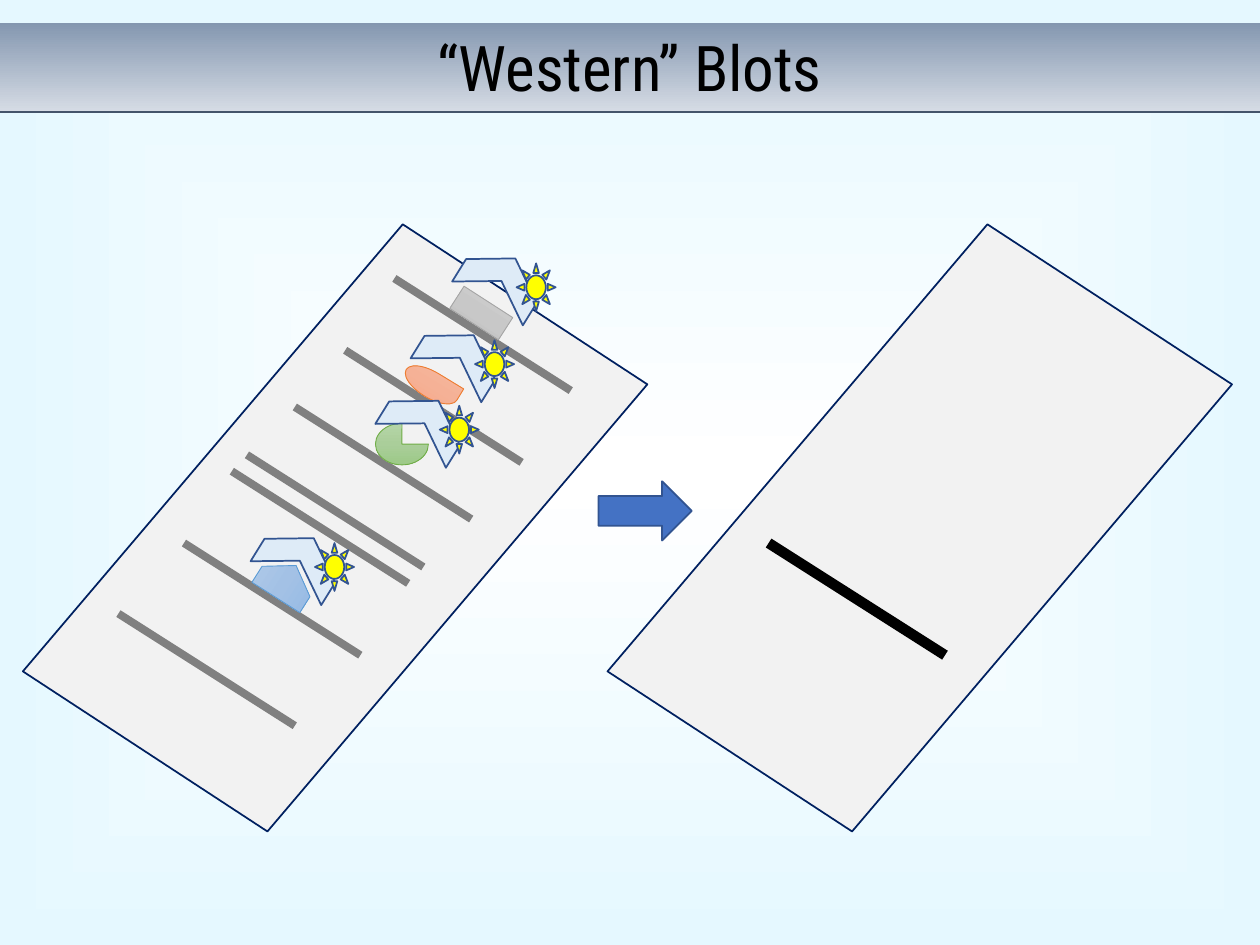
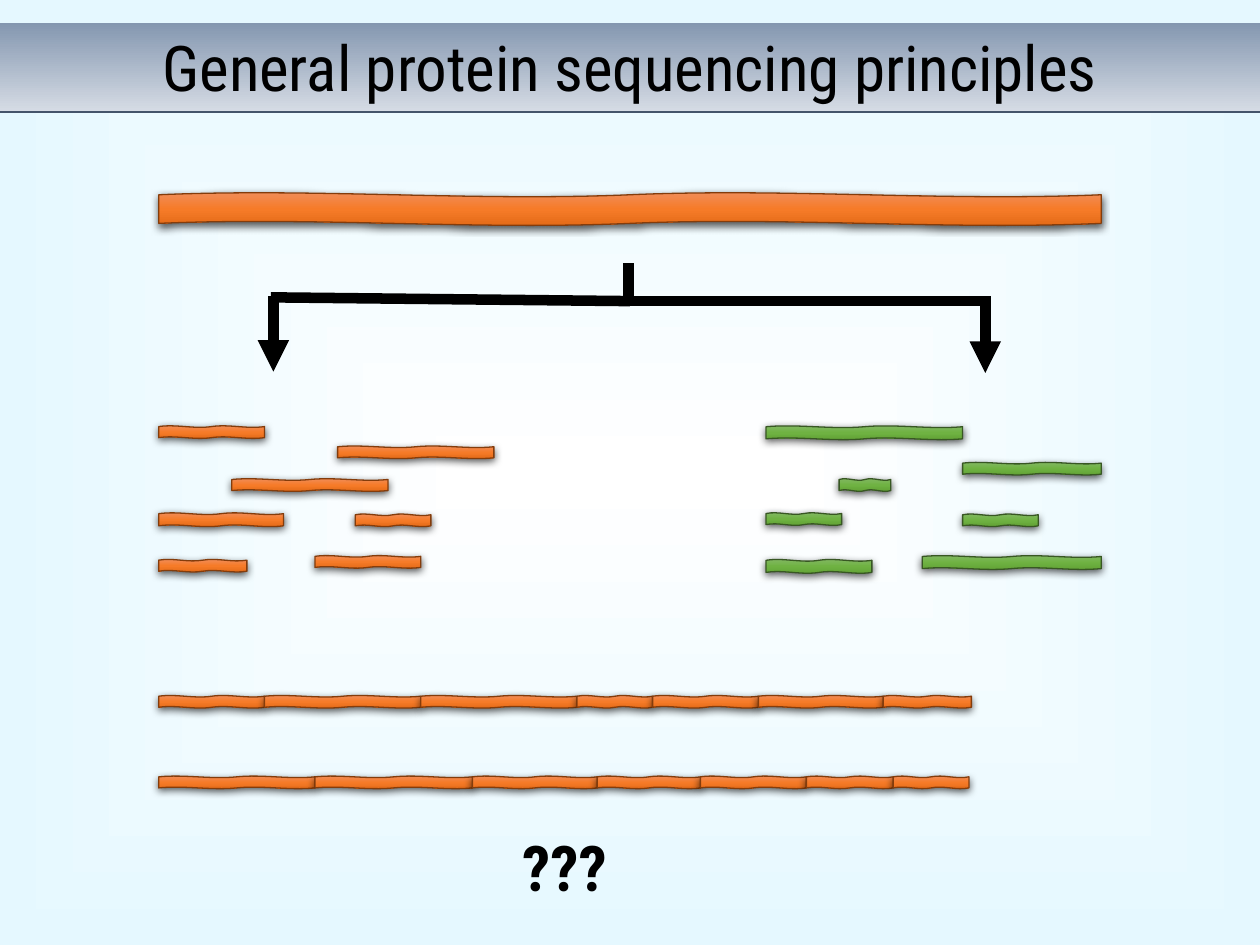
from dataclasses import dataclass
from typing import NamedTuple

from lxml import etree
from pptx import Presentation
from pptx.dml.color import RGBColor
from pptx.enum.shapes import MSO_CONNECTOR, MSO_SHAPE
from pptx.enum.text import MSO_ANCHOR, MSO_AUTO_SIZE, PP_ALIGN
from pptx.oxml.ns import qn
from pptx.util import Emu, Pt

PX = 9144  # EMU in one px, 100 px to the inch
WIDE, HIGH = 1000, 750
TITLE_ONLY = 5

RECT = MSO_SHAPE.RECTANGLE
SHEET = MSO_SHAPE.FLOWCHART_DATA
PLATE = MSO_SHAPE.PENTAGON
PIE = MSO_SHAPE.PIE
TEAR = MSO_SHAPE.TEAR
CHEVRON = MSO_SHAPE.CHEVRON
SUN = MSO_SHAPE.SUN
ARROW = MSO_SHAPE.RIGHT_ARROW
WAVE = MSO_SHAPE.DOUBLE_WAVE
STRAIGHT = MSO_CONNECTOR.STRAIGHT
CENTER = PP_ALIGN.CENTER
TOP = MSO_ANCHOR.TOP
FIXED = MSO_AUTO_SIZE.NONE


class Look(NamedTuple):
    """Fill colours (one is solid, more are a gradient) and outline."""
    fill: tuple[str, ...]
    line: str
    width: float
    angle: int = 90
    shade: bool = False


@dataclass(frozen=True)
class Theme:
    font: str = "Roboto Condensed"
    size: int = 36
    ink: str = "000000"
    back: tuple[str, ...] = ("FFFFFF", "E5F8FF")
    band: tuple[str, ...] = ("D6DCE5", "8497B0")
    rule: str = "44546A"
    stripe: str = "808080"
    sheet: Look = Look(("F2F2F2",), "002060", 1)
    tag: Look = Look(("DEEBF7",), "325491", 1)
    sun: Look = Look(("FFFF00",), "325491", 1)
    arrow: Look = Look(("4472C4",), "325491", 1)
    gray: Look = Look(("D2D2D2", "C8C8C8", "C0C0C0"), "A5A5A5", 0.5)
    blue: Look = Look(("B1CBE9", "A3C1E5", "93B9E4"), "5B9BD5", 0.5)
    lime: Look = Look(("B5D5A7", "AACE9A", "9CC987"), "70AD47", 0.5)
    peach: Look = Look(("F7BDA5", "F5B196", "F8A582"), "ED7D31", 0.5)
    orange: Look = Look(("F18C57", "F67B28", "E56C19"), "843C0B", 0.75, shade=True)
    green: Look = Look(("81B861", "6FB242", "62A336"), "385723", 0.75, shade=True)


THEME = Theme()


class Box(NamedTuple):
    x: int
    y: int
    w: int
    h: int
    turn: float = 0

    def emu(self) -> list[Emu]:
        return [Emu(v * PX) for v in self[:4]]


class Bar(NamedTuple):
    x: int
    y: int
    w: int
    h: int = 10


class Point(NamedTuple):
    x: int
    y: int


# Slide 1: gel, bands, proteins and antibody tags
GEL = Box(121, 188, 290, 462, 33.2)
BLOT = GEL._replace(x=585)
SPAN = Point(140, 89)
BANDS = [Point(313, 221), Point(274, 278), Point(234, 323), Point(196, 361),
         Point(184, 374), Point(146, 431), Point(94, 487)]
HIT = Point(610, 431)
PROTEINS = [
    (RECT, Box(359, 238, 46, 21, 32.8), THEME.gray),
    (PLATE, Box(212, 439, 30, 45, 302.4), THEME.blue),
    (PIE, Box(298, 336, 42, 33), THEME.lime),
    (TEAR, Box(319, 295, 47, 21, 31.2), THEME.peach),
]
TAGS = [Point(217, 412), Point(377, 190), Point(344, 251), Point(316, 303)]

# Slide 2: whole chain, two digests and two possible orders
CHAIN = Bar(126, 153, 748, 26)
LEFT = [Bar(126, 338, 84), Bar(184, 380, 124), Bar(282, 408, 60), Bar(268, 354, 124),
        Bar(126, 444, 70), Bar(250, 441, 84), Bar(126, 407, 99, 11)]
RIGHT = [Bar(608, 338, 156, 11), Bar(666, 380, 41), Bar(764, 408, 60), Bar(764, 367, 110),
         Bar(608, 444, 84, 11), Bar(732, 441, 142, 11), Bar(608, 407, 60)]
ORDERS = {552: (84, 124, 124, 60, 84, 99, 70), 616: (124, 125, 99, 82, 84, 69, 60)}
FORK = [  # start, end, has an arrowhead
    (Point(215, 236), Point(500, 239), False),
    (Point(217, 235), Point(217, 295), True),
    (Point(499, 209), Point(499, 239), False),
    (Point(782, 235), Point(782, 296), True),
    (Point(500, 239), Point(784, 239), False),
]


def add(parent, tag: str, **attrs: object):
    """Append a DrawingML child element."""
    return etree.SubElement(parent, qn(f"a:{tag}"), {k: str(v) for k, v in attrs.items()})


def blend(fill, root, tones: tuple[str, ...], angle: int | None) -> None:
    """Evenly spaced gradient; without an angle it spreads from the centre."""
    fill.gradient()
    grad = root.find(f".//{qn('a:gradFill')}")
    for child in list(grad):
        grad.remove(child)
    stops = add(grad, "gsLst")
    for i, tone in enumerate(tones):
        stop = add(stops, "gs", pos=100000 * i // (len(tones) - 1))
        add(stop, "srgbClr", val=tone)
    if angle is None:
        path = add(grad, "path", path="shape")
        add(path, "fillToRect", l=50000, t=50000, r=50000, b=50000)
    else:
        add(grad, "lin", ang=angle * 60000, scaled=0)


def draw(slide, kind, box: Box, look: Look):
    shape = slide.shapes.add_shape(kind, *box.emu())
    shape.rotation = box.turn
    if len(look.fill) == 1:
        shape.fill.solid()
        shape.fill.fore_color.rgb = RGBColor.from_string(look.fill[0])
    else:
        blend(shape.fill, shape._element, look.fill, look.angle)
    shape.line.color.rgb = RGBColor.from_string(look.line)
    shape.line.width = Pt(look.width)
    shape.shadow.inherit = False
    if look.shade:
        effects = shape._element.spPr.find(qn("a:effectLst"))
        cast = add(effects, "outerShdw", blurRad=Pt(4.5), dist=Pt(1.5),
                   dir=5400000, algn="ctr", rotWithShape=0)
        add(add(cast, "srgbClr", val="000000"), "alpha", val=63000)
    return shape


def link(slide, start: Point, end: Point, color: str, width: float,
         head: bool = False) -> None:
    line = slide.shapes.add_connector(
        STRAIGHT, *(Emu(v * PX) for v in (*start, *end)))
    line.line.color.rgb = RGBColor.from_string(color)
    line.line.width = Pt(width)
    if head:
        add(line.line._get_or_add_ln(), "tailEnd", type="triangle")
    add(line._element.spPr, "effectLst")


def write(shape, text: str, bold: bool = False) -> None:
    frame = shape.text_frame
    frame.text = text
    frame.word_wrap = True
    frame.auto_size = FIXED
    frame.vertical_anchor = TOP
    frame.margin_left = frame.margin_right = 0
    frame.margin_top = frame.margin_bottom = Emu(5 * PX)
    para = frame.paragraphs[0]
    para.alignment = CENTER
    para.font.name = THEME.font
    para.font.size = Pt(THEME.size)
    para.font.bold = bold
    para.font.color.rgb = RGBColor.from_string(THEME.ink)


def start(deck, text: str):
    """New slide with the title band and its rule."""
    slide = deck.slides.add_slide(deck.slide_layouts[TITLE_ONLY])
    title = slide.shapes.title
    title.left, title.top, title.width, title.height = Box(0, 18, WIDE, 71).emu()
    blend(title.fill, title._element, THEME.band, 270)
    write(title, text)
    link(slide, Point(0, 89), Point(WIDE, 89), THEME.rule, 1)
    return slide


def stripe(slide, at: Point, color: str, width: float) -> None:
    link(slide, at, Point(at.x + SPAN.x, at.y + SPAN.y), color, width)


def tag(slide, at: Point) -> None:
    """Antibody with its glowing label."""
    draw(slide, CHEVRON, Box(*at, 42, 66, 301.8), THEME.tag)
    draw(slide, SUN, Box(at.x + 33, at.y + 19, 31, 38), THEME.sun)


def wave(slide, bar: Bar, look: Look) -> None:
    draw(slide, WAVE, Box(*bar), look)


def western(deck) -> None:
    slide = start(deck, "“Western” Blots")
    draw(slide, SHEET, GEL, THEME.sheet)
    for band in BANDS:
        stripe(slide, band, THEME.stripe, 4.5)
    for kind, box, look in PROTEINS:
        draw(slide, kind, box, look)
    draw(slide, SHEET, BLOT, THEME.sheet)
    stripe(slide, HIT, THEME.ink, 6)
    draw(slide, ARROW, Box(475, 382, 74, 47), THEME.arrow)
    for at in TAGS:
        tag(slide, at)


def sequence(deck) -> None:
    slide = start(deck, "General protein sequencing principles")
    wave(slide, CHAIN, THEME.orange)
    for bars, look in ((LEFT, THEME.orange), (RIGHT, THEME.green)):
        for bar in bars:
            wave(slide, bar, look)
    for begin, end, head in FORK:
        link(slide, begin, end, THEME.ink, 6, head)
    # Fragments laid end to end
    for y, widths in ORDERS.items():
        x = CHAIN.x
        for w in widths:
            wave(slide, Bar(x, y, w), THEME.orange)
            x += w
    note = slide.shapes.add_textbox(*Box(406, 653, 84, 71).emu())
    write(note, "???", bold=True)


def main() -> None:
    deck = Presentation()
    deck.slide_width, deck.slide_height = Emu(WIDE * PX), Emu(HIGH * PX)
    master = deck.slide_master
    blend(master.background.fill, master._element, THEME.back, None)
    western(deck)
    sequence(deck)
    deck.save("out.pptx")


if __name__ == "__main__":
    main()
